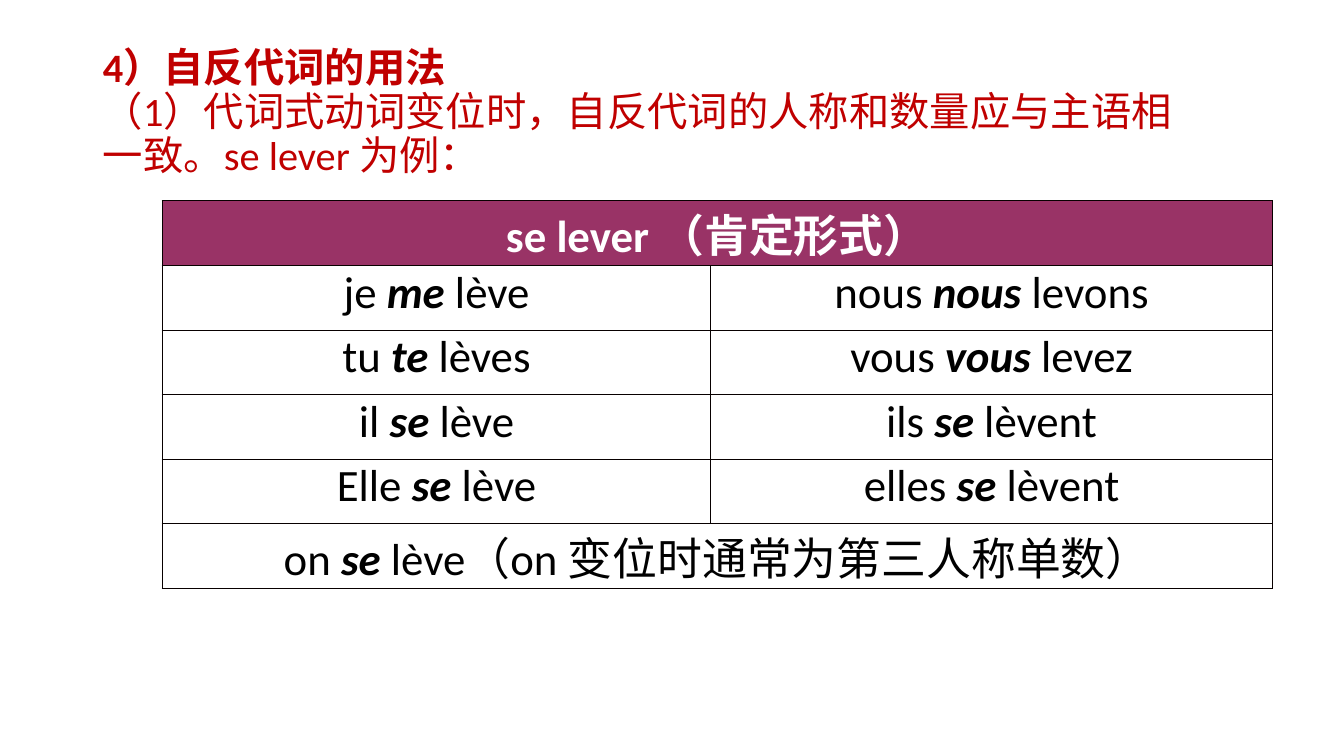
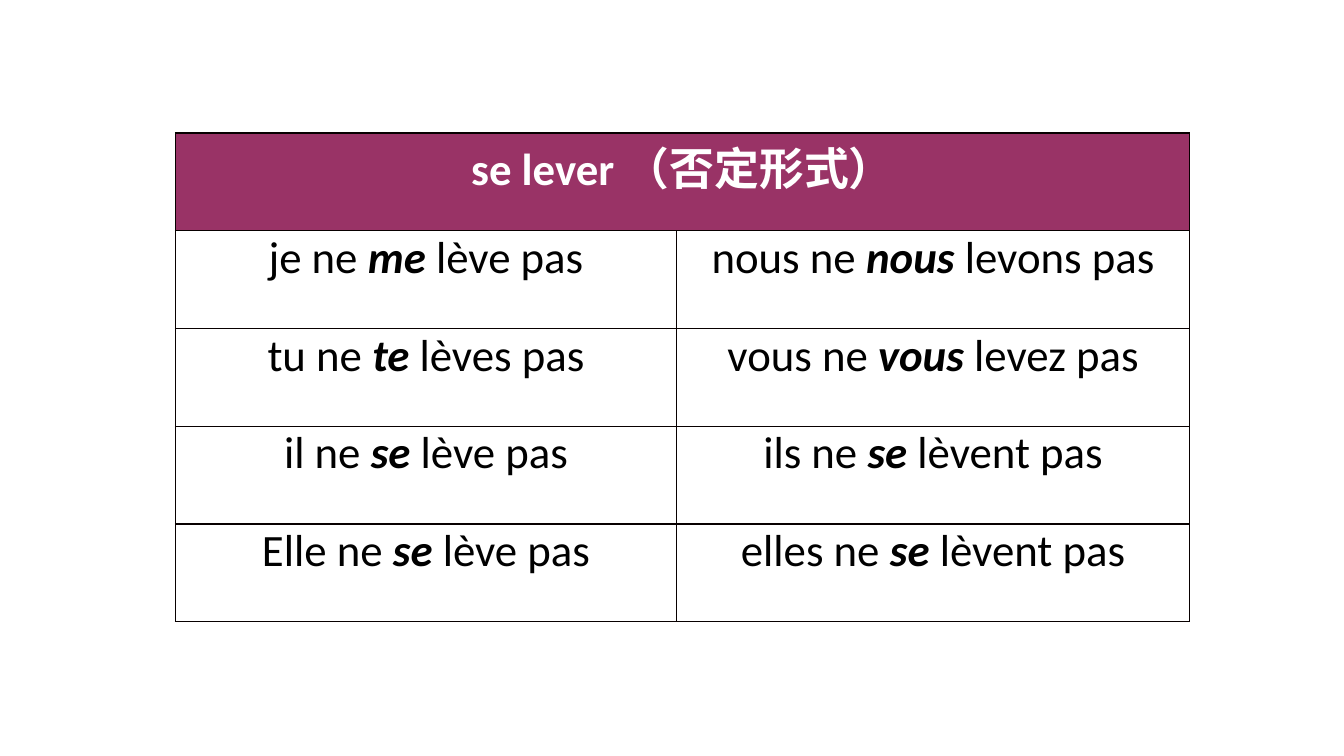
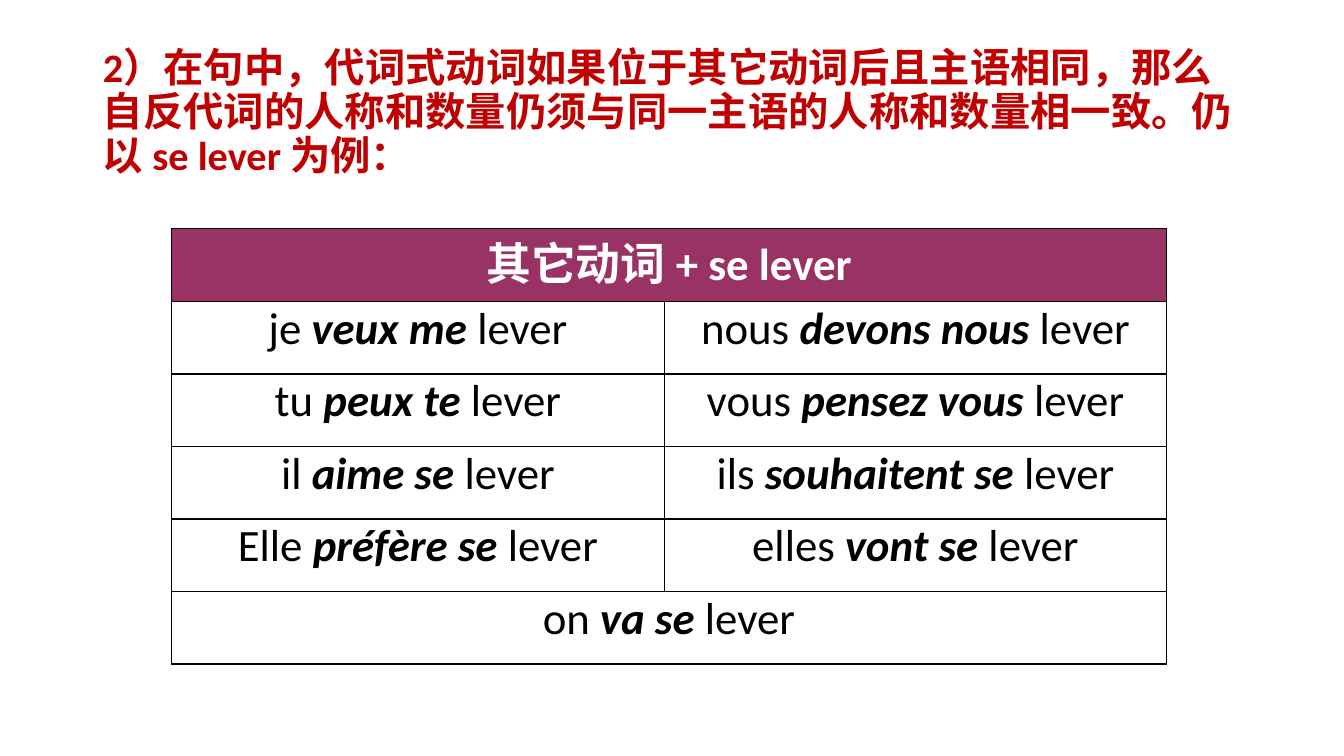
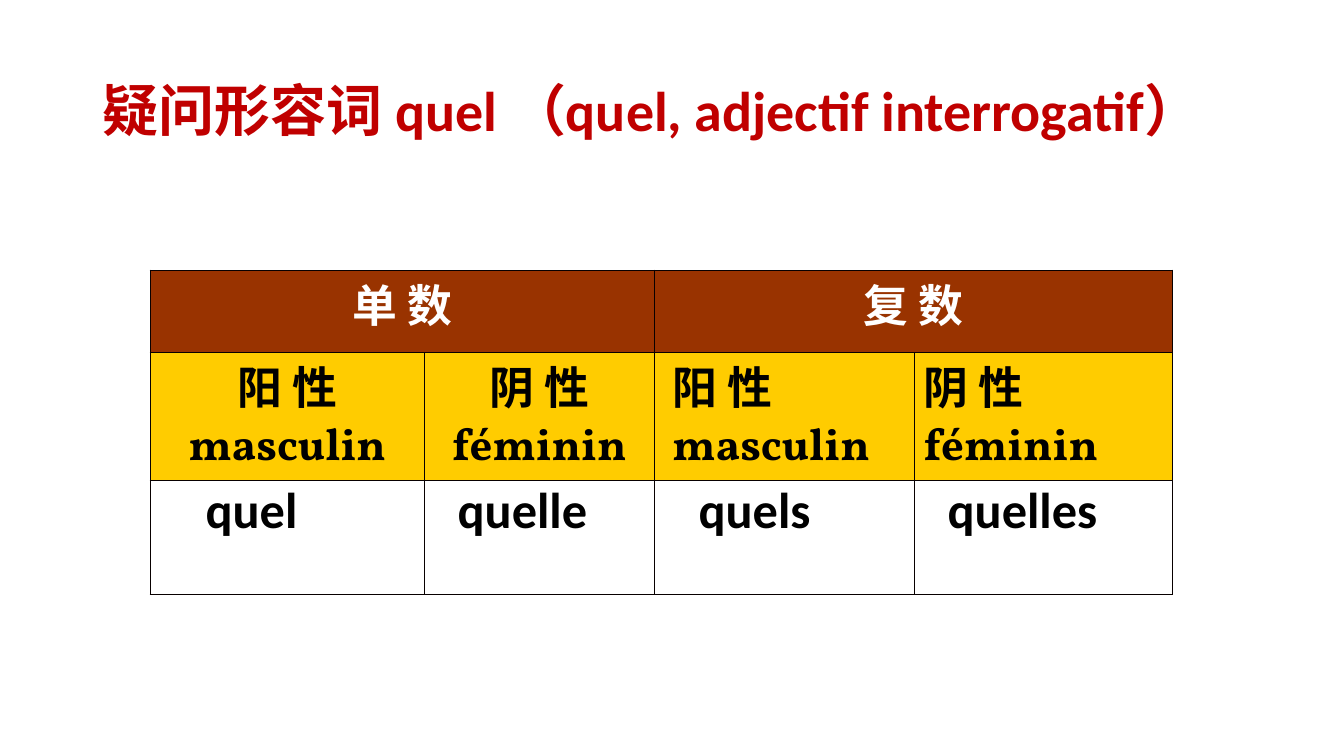
from itertools import groupby

from lxml.etree import SubElement
from pptx import Presentation
from pptx.dml.color import RGBColor
from pptx.enum.text import MSO_ANCHOR, MSO_AUTO_SIZE, PP_ALIGN as Align
from pptx.oxml.ns import qn
from pptx.util import Inches, Pt

COLORS = {
    "title": "C00000",
    "border": "080000",
    "ink": "000000",
    "paper": "FFFFFF",
    "plum": "993366",
    "rust": "993300",
    "gold": "FFCC00",
}
LATIN, CHINESE, SERIF = "Calibri", "Noto Sans CJK SC", "Vollkorn"


def color(name):
    return RGBColor.from_string(COLORS[name])


def is_chinese(letter):
    return ord(letter) > 0x2E80


class Lesson:
    """Holds the lesson's style and current slide, and draws its titles and tables."""

    def __init__(self):
        self.prs = Presentation()
        self.prs.slide_width, self.prs.slide_height = Inches(13.33), Inches(7.5)
        self.slide = None

    def add_slide(self, title_lines=(), size=28.8):
        self.slide = self.prs.slides.add_slide(self.prs.slide_layouts[5 if title_lines else 6])
        if title_lines:
            self.title(title_lines, size)

    def title(self, lines, size):
        heading = self.slide.shapes.title
        heading.left, heading.top = Inches(0.92), Inches(0.4)
        heading.width, heading.height = Inches(11.5), Inches(1.45)
        frame = heading.text_frame
        frame.auto_size = MSO_AUTO_SIZE.NONE
        frame.word_wrap = True
        frame.vertical_anchor = MSO_ANCHOR.MIDDLE
        paragraph = frame.paragraphs[0]
        paragraph.text = "\v".join(lines)
        paragraph.alignment = Align.LEFT
        paragraph.line_spacing = 0.9
        for line_break in paragraph._p.findall(qn("a:br")):
            SubElement(line_break, qn("a:rPr")).set("sz", str(round(size * 100)))
        for index, run in enumerate(paragraph.runs):
            self.style(run, LATIN, size, "title", bold=index == 0)

    def style(self, run, font, size, ink, bold=False, italic=False):
        run.font.name, run.font.size = font, Pt(size)
        run.font.bold, run.font.italic = bold, italic
        run.font.color.rgb = color(ink)
        SubElement(run._r.get_or_add_rPr(), qn("a:ea")).set("typeface", CHINESE)

    def grid(self, left, top, widths, heights):
        table = self.slide.shapes.add_table(
            len(heights), len(widths), Inches(left), Inches(top),
            Inches(sum(widths)), Inches(sum(heights))).table
        table.first_row = table.horz_banding = False
        for column, width in zip(table.columns, widths):
            column.width = Inches(width)
        for row, height in zip(table.rows, heights):
            row.height = Inches(height)
        for cell in table.iter_cells():
            self.border(cell)
        return table

    def border(self, cell):
        properties = cell._tc.get_or_add_tcPr()
        for side in "LRTB":
            line = SubElement(properties, qn(f"a:ln{side}"), w=str(Pt(1)))
            fill = SubElement(line, qn("a:solidFill"))
            SubElement(fill, qn("a:srgbClr"), val=COLORS["border"])

    def cell(self, cell, text, fill="paper", ink="ink", size=32, bold=False,
             font=None, indent=None):
        cell.fill.solid()
        cell.fill.fore_color.rgb = color(fill)
        cell.margin_left = Inches(indent or 0)
        cell.margin_right = cell.margin_top = cell.margin_bottom = 0
        cell.text_frame.text = text
        for paragraph in cell.text_frame.paragraphs:
            parts = paragraph.text.split("*")
            paragraph.text = ""
            paragraph.alignment = Align.CENTER if indent is None else Align.LEFT
            for index, part in enumerate(parts):
                stressed = index % 2 == 1
                for chinese, letters in groupby(part, lambda c: not font and is_chinese(c)):
                    run = paragraph.add_run()
                    run.text = "".join(letters)
                    self.style(run, font or (CHINESE if chinese else LATIN), size, ink,
                               bold or stressed, stressed)

    def conjugation(self, left, top, widths, height, heading, pairs, closing=None):
        rows = [(heading,), *pairs] + ([(closing,)] if closing else [])
        table = self.grid(left, top, widths, [height] * len(rows))
        for index, forms in enumerate(rows):
            if len(forms) == 1:
                table.cell(index, 0).merge(table.cell(index, 1))
            look = {} if index else {"fill": "plum", "ink": "paper", "bold": True}
            for column, form in enumerate(forms):
                self.cell(table.cell(index, column), form, **look)

    def interrogatives(self, left, top, widths, heights, numbers, genders, forms):
        table = self.grid(left, top, widths, heights)
        for index, number in enumerate(numbers):
            table.cell(0, 2 * index).merge(table.cell(0, 2 * index + 1))
            self.cell(table.cell(0, 2 * index), number, "rust", "paper", bold=True, font=CHINESE)
        for column, (gender, indent) in enumerate(genders):
            self.cell(table.cell(1, column), gender, "gold", bold=True, font=SERIF, indent=indent)
        for column, (form, indent) in enumerate(forms):
            self.cell(table.cell(2, column), form, size=36, bold=True, indent=indent)


def main():
    lesson = Lesson()

    lesson.add_slide(["4）自反代词的用法",
                      "（1）代词式动词变位时，自反代词的人称和数量应与主语相",
                      "一致。se lever 为例："])
    lesson.conjugation(
        1.61, 1.99, [5.44, 5.57], 0.64, "se lever （肯定形式）",
        [("je *me* lève", "nous *nous* levons"),
         ("tu *te* lèves", "vous *vous* levez"),
         ("il *se* lève", "ils *se* lèvent"),
         ("Elle *se* lève", "elles *se* lèvent")],
        "on *se* lève（on 变位时通常为第三人称单数）")

    lesson.add_slide()
    lesson.conjugation(
        1.74, 1.32, [4.97, 5.09], 0.97, "se lever （否定形式）",
        [("je ne *me* lève pas", "nous ne *nous* levons pas"),
         ("tu ne *te* lèves pas", "vous ne *vous* levez pas"),
         ("il ne *se* lève pas", "ils ne *se* lèvent pas"),
         ("Elle ne *se* lève pas", "elles ne *se* lèvent pas")])

    lesson.add_slide(["2）在句中，代词式动词如果位于其它动词后且主语相同，那么自反代词的"
                      "人称和数量仍须与同一主语的人称和数量相一致。仍以 se lever 为例："])
    lesson.conjugation(
        1.7, 2.27, [4.89, 4.98], 0.72, "其它动词 + se lever",
        [("je *veux me* lever", "nous *devons nous* lever"),
         ("tu *peux te* lever", "vous *pensez vous* lever"),
         ("il *aime se* lever", "ils *souhaitent se* lever"),
         ("Elle *préfère se* lever", "elles *vont se* lever")],
        "on *va se* lever")

    lesson.add_slide(["疑问形容词 quel （quel, adjectif interrogatif）"], size=40)
    masculine, feminine = "阳 性\nmasculin", "阴 性\nféminin"
    lesson.interrogatives(
        1.49, 2.68, [2.72, 2.28, 2.58, 2.56], [0.82, 1.13, 1.13],
        ["单 数", "复 数"],
        [(masculine, None), (feminine, None), (masculine, 0.18), (feminine, 0.09)],
        [("quel", 0.55), ("quelle", 0.33), ("quels", 0.44), ("quelles", 0.33)])

    lesson.prs.save("out.pptx")


if __name__ == "__main__":
    main()
